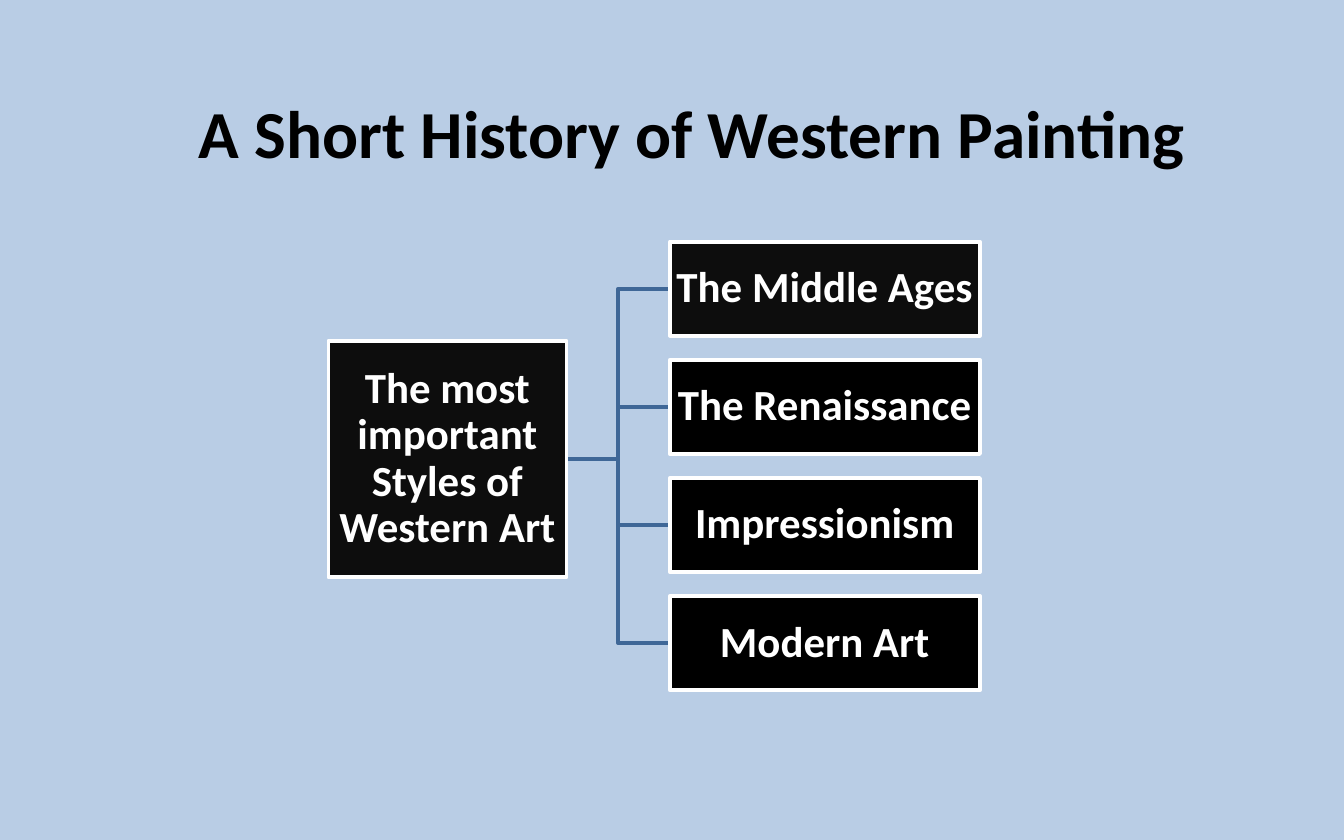
from pptx import Presentation
from pptx.dml.color import RGBColor
from pptx.enum.shapes import MSO_SHAPE
from pptx.enum.text import MSO_ANCHOR, PP_ALIGN
from pptx.util import Pt

THEME = {
    "font": "Calibri",
    "title_size": Pt(36),
    "box_size": Pt(23),
    "line_width": Pt(2),
    "background": RGBColor.from_string("B9CDE5"),
    "title": RGBColor.from_string("000000"),
    "soft_black": RGBColor.from_string("0D0D0D"),
    "black": RGBColor.from_string("000000"),
    "white": RGBColor.from_string("FFFFFF"),
    "branch": RGBColor.from_string("3F6797"),
}


def add_text(p, text, size, color):
    r = p.add_run()
    r.text = text
    for name, value in {"name": THEME["font"], "size": size, "bold": True}.items():
        setattr(r.font, name, value)
    r.font.color.rgb = color


def add_box(s, text, fill, left, top, width, height):
    sp = s.shapes.add_shape(MSO_SHAPE.RECTANGLE, Pt(left), Pt(top), Pt(width), Pt(height))
    sp.shadow.inherit = False
    sp.fill.solid()
    sp.fill.fore_color.rgb = fill
    sp.line.color.rgb = THEME["white"]
    sp.line.width = THEME["line_width"]
    tf = sp.text_frame
    frame_format = {
        "word_wrap": True,
        "vertical_anchor": MSO_ANCHOR.MIDDLE,
        "margin_left": Pt(1.5),
        "margin_top": Pt(1.5),
        "margin_right": Pt(1.5),
        "margin_bottom": Pt(1.5),
    }
    for name, value in frame_format.items():
        setattr(tf, name, value)
    p = tf.paragraphs[0]
    for name, value in {"alignment": PP_ALIGN.CENTER, "line_spacing": 0.9}.items():
        setattr(p, name, value)
    add_text(p, text, THEME["box_size"], THEME["white"])


prs = Presentation()
prs.slide_width, prs.slide_height = Pt(720), Pt(450)
s = prs.slides.add_slide(prs.slide_layouts[6])
s.background.fill.solid()
s.background.fill.fore_color.rgb = THEME["background"]

title = s.shapes.add_textbox(Pt(99.4), Pt(45.4), Pt(548.6), Pt(51))
title.text_frame.word_wrap = False
add_text(title.text_frame.paragraphs[0], "A Short History of Western Painting",
         THEME["title_size"], THEME["title"])

root_left, root_top, root_width, root_height = 176, 182.5, 127.5, 126.8
style_left, style_top, style_width, style_height = 358.8, 129.5, 166.2, 50.4
style_pitch = 63.3
styles = [
    ("The Middle Ages", THEME["soft_black"]),
    ("The Renaissance", THEME["black"]),
    ("Impressionism", THEME["black"]),
    ("Modern Art", THEME["black"]),
]

root_right = root_left + root_width
root_middle = root_top + root_height / 2
trunk = (root_right + style_left) / 2

for i in range(len(styles)):
    middle = style_top + i * style_pitch + style_height / 2
    builder = s.shapes.build_freeform(Pt(root_right), Pt(root_middle))
    corners = [(trunk, root_middle), (trunk, middle), (style_left, middle)]
    builder.add_line_segments([(Pt(x), Pt(y)) for x, y in corners], close=False)
    branch = builder.convert_to_shape()
    branch.shadow.inherit = False
    branch.fill.background()
    branch.line.color.rgb = THEME["branch"]
    branch.line.width = THEME["line_width"]

add_box(s, "The most important Styles of Western Art", THEME["soft_black"],
        root_left, root_top, root_width, root_height)
for i, (name, fill) in enumerate(styles):
    add_box(s, name, fill, style_left, style_top + i * style_pitch, style_width, style_height)

prs.save("out.pptx")
